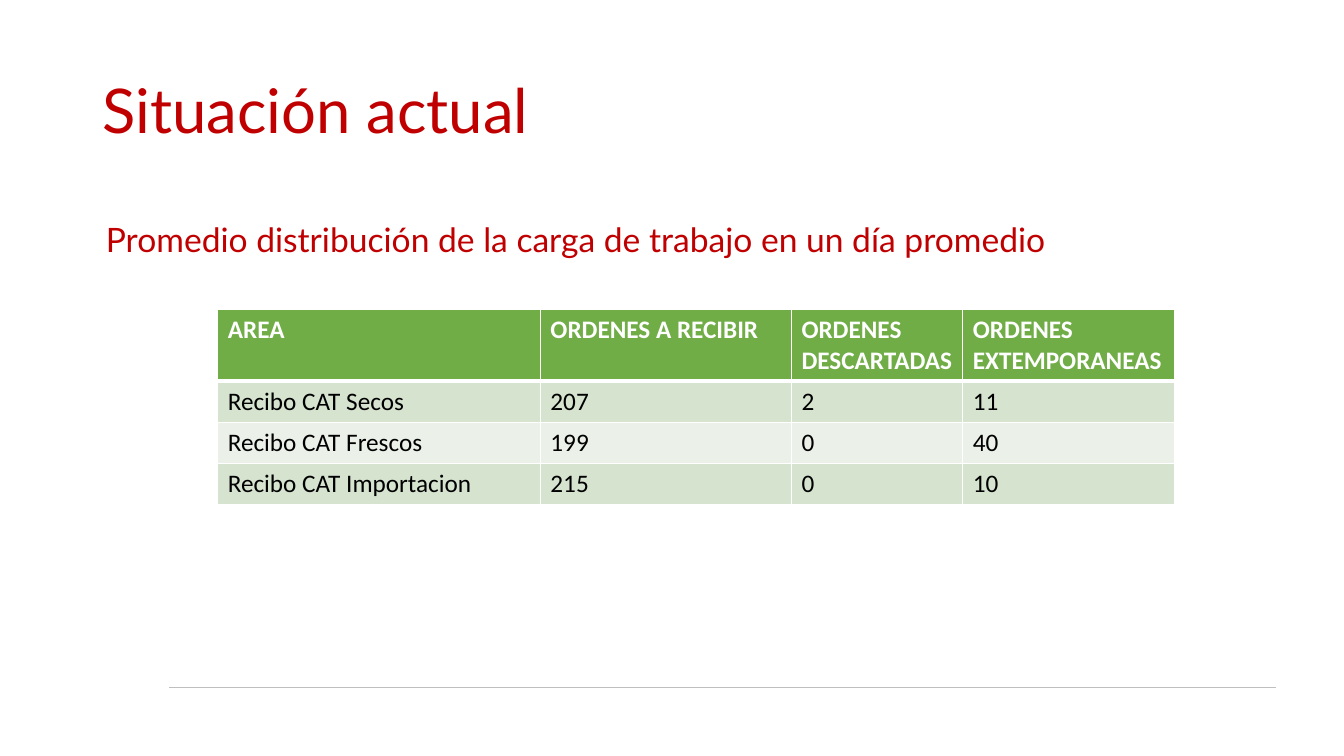
from lxml import etree
from pptx import Presentation
from pptx.dml.color import RGBColor
from pptx.enum.shapes import MSO_CONNECTOR
from pptx.enum.text import MSO_ANCHOR, MSO_AUTO_SIZE, PP_ALIGN
from pptx.oxml.ns import qn
from pptx.util import Inches, Pt

LEFT = PP_ALIGN.LEFT
MIDDLE = MSO_ANCHOR.MIDDLE
NO_FIT = MSO_AUTO_SIZE.NONE
STRAIGHT = MSO_CONNECTOR.STRAIGHT
TITLE_ONLY = 5

COLORS = {
    "red": "C00000",
    "green": "70AD47",
    "band": "D5E3CF",
    "pale": "EBF1E9",
    "white": "FFFFFF",
    "black": "000000",
    "gray": "BFBFBF",
}
ROWS = [
    ["AREA", "ORDENES A RECIBIR", "ORDENES DESCARTADAS", "ORDENES EXTEMPORANEAS"],
    ["Recibo CAT Secos", "207", "2", "11"],
    ["Recibo CAT Frescos", "199", "0", "40"],
    ["Recibo CAT Importacion", "215", "0", "10"],
]
WIDTHS = [3.2, 2.49, 1.7, 2.1]
HEAD_H, ROW_H = 0.71, 0.41


class Deck:
    def __init__(self, slide):
        self.slide = slide
        self.head_font = "Lato"
        self.body_font = "Calibri"

    def color(self, name):
        return RGBColor.from_string(COLORS[name])

    def style(self, par, font, size, color, bold=False):
        for run in par.runs:
            run.font.name = font
            run.font.size = Pt(size)
            run.font.bold = bold
            run.font.color.rgb = self.color(color)

    def heading(self, shape, text, left, top, size):
        shape.left, shape.top = Inches(left), Inches(top)
        shape.width, shape.height = Inches(11.5), Inches(1.45)
        frame = shape.text_frame
        frame.text = text
        frame.word_wrap = True
        frame.auto_size = NO_FIT
        frame.vertical_anchor = MIDDLE
        par = frame.paragraphs[0]
        par.alignment = LEFT
        par.line_spacing = 0.9
        self.style(par, self.head_font, size, "red")

    def title(self, text, left, top, size):
        self.heading(self.slide.shapes.title, text, left, top, size)

    def label(self, text, left, top, size):
        box = self.slide.shapes.add_textbox(0, 0, 0, 0)
        self.heading(box, text, left, top, size)

    def rule(self, left, right, y):
        line = self.slide.shapes.add_connector(
            STRAIGHT, Inches(left), Inches(y), Inches(right), Inches(y))
        line.line.color.rgb = self.color("gray")
        line.line.width = Pt(0.5)
        etree.SubElement(line._element.spPr, qn("a:effectLst"))

    def border(self, cell, side, width):
        props = cell._tc.get_or_add_tcPr()
        edge = etree.SubElement(props, qn("a:ln" + side), w=str(Pt(width)))
        fill = etree.SubElement(edge, qn("a:solidFill"))
        etree.SubElement(fill, qn("a:srgbClr"), val=COLORS["white"])

    def cell(self, cell, text, row):
        head = row == 0
        cell.text = text
        self.style(cell.text_frame.paragraphs[0], self.body_font, 18,
                   "white" if head else "black", head)
        for side in "LRTB":
            thick = (head and side == "B") or (row == 1 and side == "T")
            self.border(cell, side, 3 if thick else 1)
        cell.fill.solid()
        fill = "green" if head else "band" if row % 2 else "pale"
        cell.fill.fore_color.rgb = self.color(fill)

    def table(self, rows, left, top):
        heights = [HEAD_H] + [ROW_H] * (len(rows) - 1)
        table = self.slide.shapes.add_table(
            len(rows), len(WIDTHS), Inches(left), Inches(top),
            Inches(sum(WIDTHS)), Inches(sum(heights))).table
        for col, width in zip(table.columns, WIDTHS):
            col.width = Inches(width)
        for r, (texts, height) in enumerate(zip(rows, heights)):
            table.rows[r].height = Inches(height)
            for c, text in enumerate(texts):
                self.cell(table.cell(r, c), text, r)


def main():
    prs = Presentation()
    prs.slide_width, prs.slide_height = Inches(13.33), Inches(7.5)
    deck = Deck(prs.slides.add_slide(prs.slide_layouts[TITLE_ONLY]))
    deck.rule(1.68, 12.66, 6.82)
    deck.table(ROWS, 2.16, 3.07)
    deck.title("Promedio distribución de la carga de trabajo en un día promedio",
               0.95, 1.67, 24)
    deck.label("Situación actual", 0.92, 0.4, 44)
    prs.save("out.pptx")


if __name__ == "__main__":
    main()
